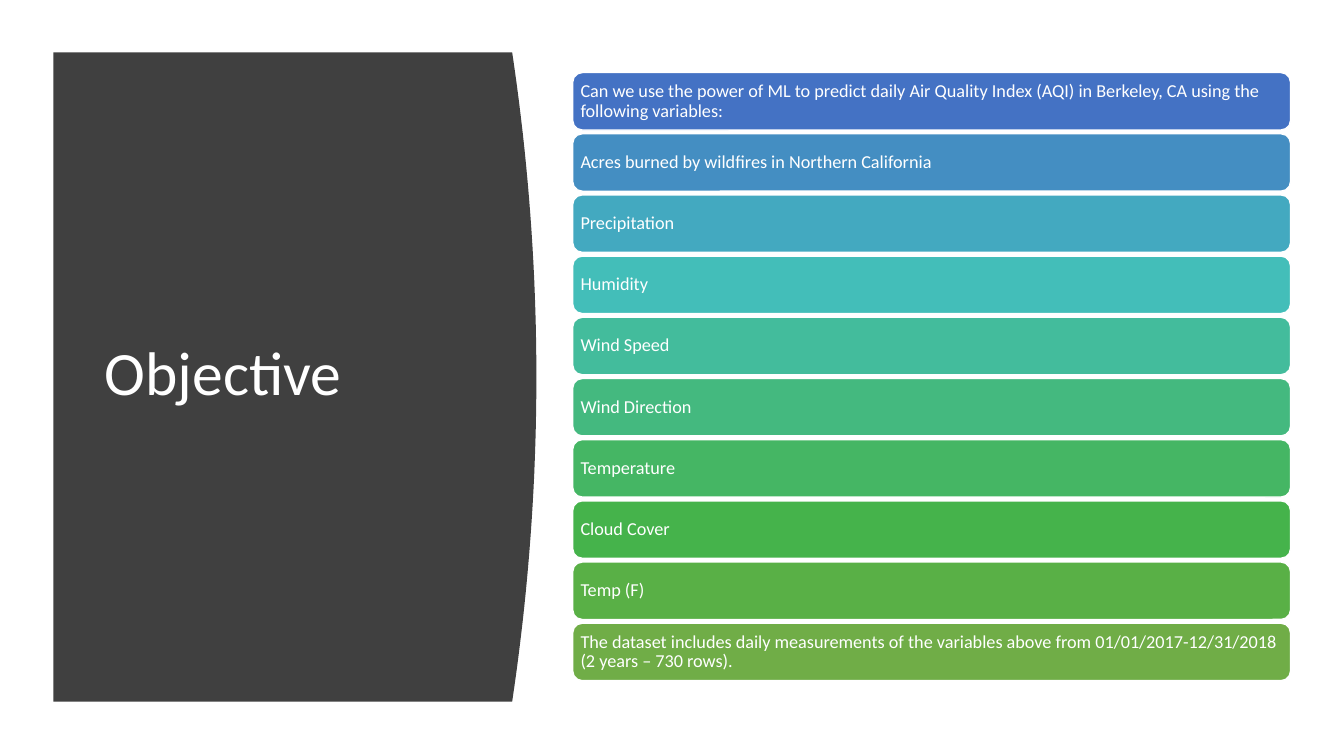
from pptx import Presentation
from pptx.dml.color import RGBColor
from pptx.enum.shapes import MSO_SHAPE
from pptx.enum.text import MSO_ANCHOR, PP_ALIGN
from pptx.util import Inches, Pt

ROUND = MSO_SHAPE.ROUNDED_RECTANGLE
MIDDLE = MSO_ANCHOR.MIDDLE
LEFT = PP_ALIGN.LEFT

WHITE = RGBColor(0xFF, 0xFF, 0xFF)
DARK = RGBColor(0x40, 0x40, 0x40)
FONT = "Calibri"

BARS = [
    ("Can we use the power of ML to predict daily Air Quality Index (AQI) "
     "in Berkeley, CA using the following variables:", RGBColor(0x44, 0x72, 0xC4)),
    ("Acres burned by wildfires in Northern California", RGBColor(0x44, 0x8E, 0xC2)),
    ("Precipitation", RGBColor(0x43, 0xA9, 0xC0)),
    ("Humidity", RGBColor(0x43, 0xBE, 0xB9)),
    ("Wind Speed", RGBColor(0x43, 0xBC, 0x9C)),
    ("Wind Direction", RGBColor(0x44, 0xB9, 0x7F)),
    ("Temperature", RGBColor(0x45, 0xB6, 0x64)),
    ("Cloud Cover", RGBColor(0x45, 0xB3, 0x4B)),
    ("Temp (F)", RGBColor(0x59, 0xB0, 0x46)),
    ("The dataset includes daily measurements of the variables above from "
     "01/01/2017-12/31/2018 (2 years – 730 rows).", RGBColor(0x70, 0xAD, 0x47)),
]
BAR_TOP, BAR_STEP = 0.72, 0.607


def set_text(frame, text, size):
    frame.word_wrap = True
    frame.vertical_anchor = MIDDLE
    para = frame.paragraphs[0]
    para.text = text
    para.alignment = LEFT
    para.line_spacing = 0.9
    para.font.name = FONT
    para.font.size = Pt(size)
    para.font.color.rgb = WHITE


def add_panel(slide):
    """Draw the dark panel, whose right edge is a shallow parabola."""
    left, top, base = 0.53, 0.52, 6.96
    peak, bulge, steps = 5.32, 0.24, 40
    edge = []
    for i in range(steps + 1):
        t = i / steps
        x = peak - bulge * (2 * t - 1) ** 2
        edge.append((Inches(x), Inches(top + t * (base - top))))
    pen = slide.shapes.build_freeform(Inches(left), Inches(top))
    pen.add_line_segments(edge + [(Inches(left), Inches(base))], close=True)
    panel = pen.convert_to_shape()
    panel.shadow.inherit = False
    panel.fill.solid()
    panel.fill.fore_color.rgb = DARK
    panel.line.fill.background()


def add_title(slide, text):
    box = slide.shapes.add_textbox(Inches(0.94), Inches(1.11), Inches(3.74), Inches(5.24))
    set_text(box.text_frame, text, 44)


def add_bar(slide, top, text, color):
    bar = slide.shapes.add_shape(ROUND, Inches(5.68), Inches(top), Inches(7.12), Inches(0.57))
    bar.shadow.inherit = False
    bar.fill.solid()
    bar.fill.fore_color.rgb = color
    bar.line.color.rgb = WHITE
    bar.line.width = Pt(1)
    frame = bar.text_frame
    frame.margin_left = frame.margin_right = Inches(0.05)
    frame.margin_top = frame.margin_bottom = Inches(0.05)
    set_text(frame, text, 13)


def main():
    deck = Presentation()
    deck.slide_width = Inches(13.33)
    deck.slide_height = Inches(7.5)
    slide = deck.slides.add_slide(deck.slide_layouts[6])
    add_panel(slide)
    add_title(slide, "Objective")
    for i, (text, color) in enumerate(BARS):
        add_bar(slide, BAR_TOP + i * BAR_STEP, text, color)
    deck.save("out.pptx")


if __name__ == "__main__":
    main()
